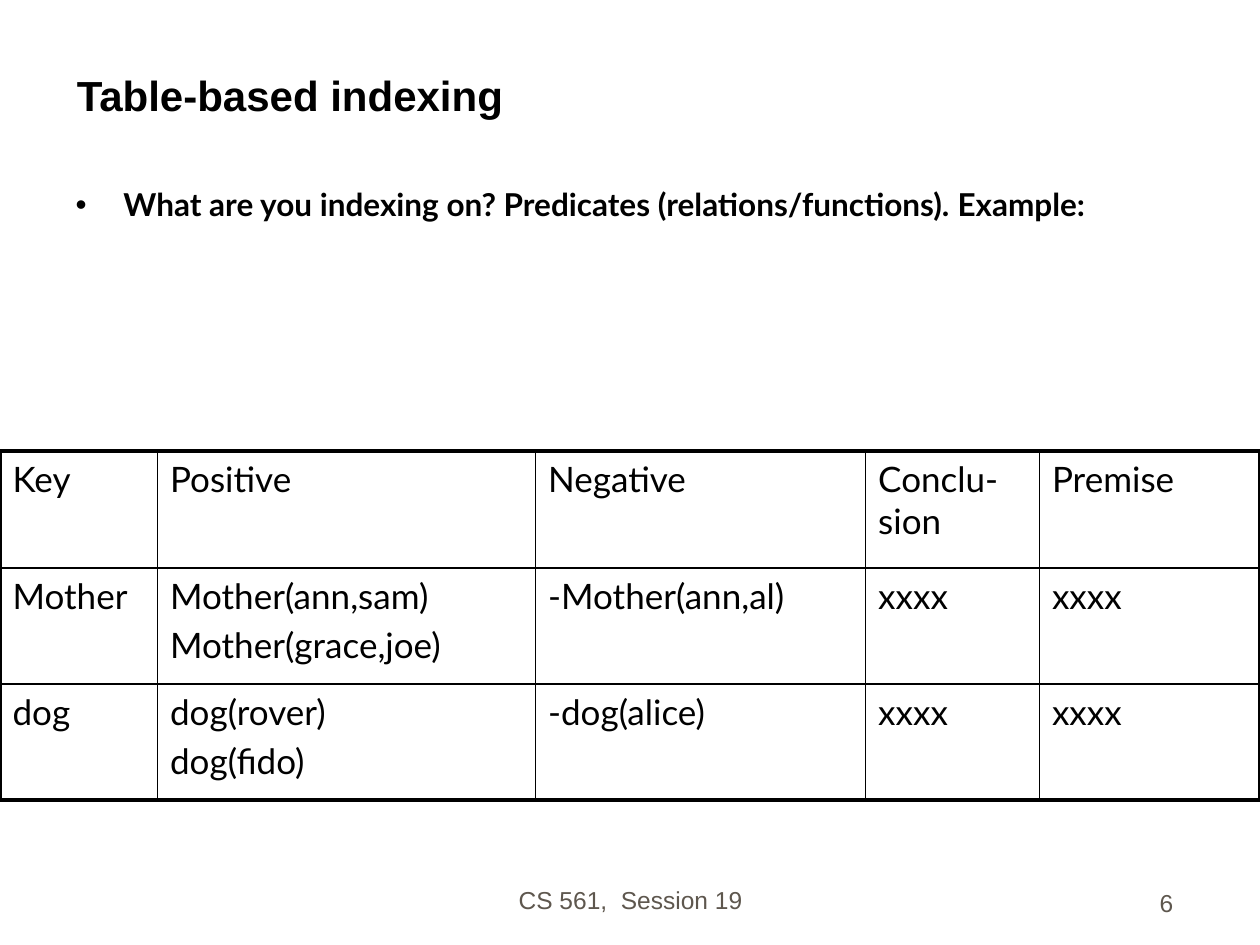
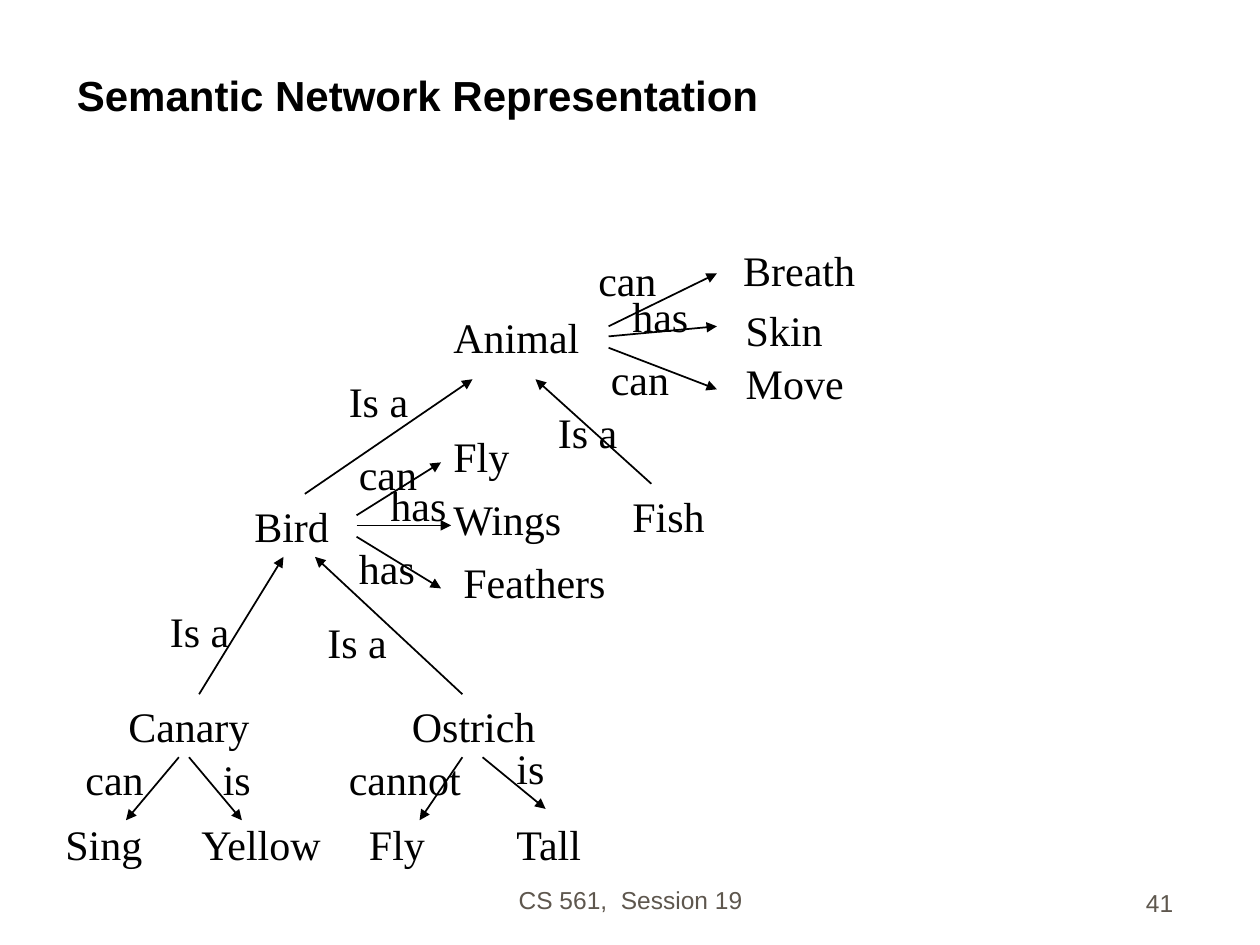
"""Build two lecture slides: a predicate index table and a semantic network."""
from dataclasses import dataclass

from lxml import etree
from pptx import Presentation
from pptx.dml.color import RGBColor
from pptx.enum.shapes import MSO_CONNECTOR
from pptx.enum.text import MSO_ANCHOR, MSO_AUTO_SIZE, PP_ALIGN
from pptx.oxml.ns import qn
from pptx.util import Pt

STRAIGHT = MSO_CONNECTOR.STRAIGHT
TOP, BOTTOM = MSO_ANCHOR.TOP, MSO_ANCHOR.BOTTOM
LEFT, CENTER, RIGHT = PP_ALIGN.LEFT, PP_ALIGN.CENTER, PP_ALIGN.RIGHT
FIT_SHAPE = MSO_AUTO_SIZE.SHAPE_TO_FIT_TEXT
PX = 9144


@dataclass(frozen=True)
class Theme:
    ink: str = "000000"
    muted: str = "5E574E"
    heading_font: str = "Arial"
    body_font: str = "Lato"
    network_font: str = "Times New Roman"
    title_size: int = 24
    body_size: int = 18
    table_size: int = 20
    network_size: int = 24
    footer_size: int = 14
    thin: float = 1
    thick: float = 2.25


THEME = Theme()


def write(frame, text, font, size, color=THEME.ink, bold=False, align=LEFT):
    frame.text = text
    for paragraph in frame.paragraphs:
        paragraph.alignment = align
        for run in paragraph.runs:
            run.font.name = font
            run.font.size = Pt(size)
            run.font.bold = bold
            run.font.color.rgb = RGBColor.from_string(color)


def place(shape, left, top, width, height):
    shape.left, shape.top = left * PX, top * PX
    shape.width, shape.height = width * PX, height * PX


deck = Presentation()
deck.slide_width, deck.slide_height = 1000 * PX, 750 * PX
title_and_body, title_only = deck.slide_layouts[1], deck.slide_layouts[5]

slides = []
for layout, heading, number in [
    (title_and_body, "Table-based indexing", "6"),
    (title_only, "Semantic Network Representation", "41"),
]:
    slide = deck.slides.add_slide(layout)
    slides.append(slide)
    title = slide.shapes.title
    place(title, 51, 25, 892, 75)
    title.text_frame.vertical_anchor = BOTTOM
    write(title.text_frame, heading, THEME.heading_font, THEME.title_size, bold=True)
    for text, left, top, width, align in [
        ("CS 561,  Session 19", 342, 681, 317, CENTER),
        (number, 733, 683, 208, RIGHT),
    ]:
        footer = slide.shapes.add_textbox(left * PX, top * PX, width * PX, 50 * PX)
        footer.text_frame.word_wrap = True
        footer.text_frame.vertical_anchor = BOTTOM
        write(footer.text_frame, text, THEME.heading_font, THEME.footer_size,
              THEME.muted, align=align)

index_slide, network_slide = slides

question = index_slide.placeholders[1]
place(question, 50, 142, 894, 521)
question.text_frame.vertical_anchor = TOP
write(question.text_frame,
      "What are you indexing on? Predicates (relations/functions).\tExample:",
      THEME.body_font, THEME.body_size, bold=True)
bullet_format = question.text_frame.paragraphs[0]._p.get_or_add_pPr()
bullet_format.set("marL", str(38 * PX))
bullet_format.set("indent", str(-38 * PX))
etree.SubElement(bullet_format, qn("a:buChar")).set("char", "•")

index_rows = [
    ["Key", "Positive", "Negative", "Conclu-sion", "Premise"],
    ["Mother", "Mother(ann,sam)\nMother(grace,joe)", "-Mother(ann,al)", "xxxx", "xxxx"],
    ["dog", "dog(rover)\ndog(fido)", "-dog(alice)", "xxxx", "xxxx"],
]
column_widths = [125, 300, 262, 138, 175]
row_heights = [93, 92, 92]
last_row, last_column = len(row_heights) - 1, len(column_widths) - 1
index_table = index_slide.shapes.add_table(
    len(row_heights), len(column_widths), 0, 358 * PX,
    sum(column_widths) * PX, sum(row_heights) * PX).table
index_table.first_row = index_table.horz_banding = False
for column, width in zip(index_table.columns, column_widths):
    column.width = width * PX
for row, height in zip(index_table.rows, row_heights):
    row.height = height * PX
for r, entries in enumerate(index_rows):
    for c, entry in enumerate(entries):
        cell = index_table.cell(r, c)
        write(cell.text_frame, entry, THEME.body_font, THEME.table_size)
        for paragraph in cell.text_frame.paragraphs:
            paragraph.space_before = Pt(THEME.table_size // 5)
        cell_format = cell._tc.get_or_add_tcPr()
        for side, is_outer in [("L", c == 0), ("R", c == last_column),
                               ("T", r == 0), ("B", r == last_row)]:
            border = etree.SubElement(cell_format, qn(f"a:ln{side}"))
            border.set("w", str(Pt(THEME.thick if is_outer else THEME.thin)))
            border_fill = etree.SubElement(border, qn("a:solidFill"))
            etree.SubElement(border_fill, qn("a:srgbClr")).set("val", THEME.ink)
        cell.fill.background()

relations = [
    (242, 392, 375, 301), (517, 384, 425, 301),
    (158, 551, 225, 442), (367, 551, 250, 442),
    (142, 601, 100, 651), (150, 601, 192, 651),
    (367, 601, 333, 651), (383, 601, 433, 642),
    (283, 409, 350, 367), (283, 417, 358, 417), (283, 426, 350, 467),
    (483, 259, 569, 217), (483, 267, 569, 259), (483, 276, 569, 309),
]
for ends in relations:
    arrow = network_slide.shapes.add_connector(STRAIGHT, *[end * PX for end in ends])
    arrow.line.color.rgb = RGBColor.from_string(THEME.ink)
    arrow.line.width = Pt(THEME.thin)
    etree.SubElement(arrow.line._get_or_add_ln(), qn("a:tailEnd")).set("type", "triangle")
    etree.SubElement(arrow._element.spPr, qn("a:effectLst"))

network_words = [
    ("Animal", 120, [(350, 242)]),
    ("Ostrich", 118, [(317, 551)]),
    ("Canary", 116, [(92, 551)]),
    ("Fish", 78, [(492, 384)]),
    ("Bird", 79, [(192, 392)]),
    ("Breath", 109, [(580, 189)]),
    ("Skin", 81, [(582, 237)]),
    ("Move", 98, [(582, 279)]),
    ("Feathers", 133, [(358, 437)]),
    ("Wings", 107, [(350, 387)]),
    ("Fly", 65, [(350, 337), (283, 645)]),
    ("Tall", 74, [(400, 645)]),
    ("Yellow", 118, [(150, 645)]),
    ("Sing", 81, [(42, 645)]),
    ("can", 66, [(465, 197), (475, 276), (275, 351), (58, 593)]),
    ("has", 65, [(492, 226), (300, 376), (275, 426)]),
    ("Is a", 67, [(125, 476), (250, 484), (267, 293), (433, 318)]),
    ("is", 42, [(167, 593), (400, 584)]),
    ("cannot", 109, [(267, 593)]),
]
for word, width, spots in network_words:
    for left, top in spots:
        label = network_slide.shapes.add_textbox(left * PX, top * PX, width * PX, 50 * PX)
        label.text_frame.word_wrap = False
        label.text_frame.auto_size = FIT_SHAPE
        write(label.text_frame, word, THEME.network_font, THEME.network_size)

deck.save("out.pptx")
